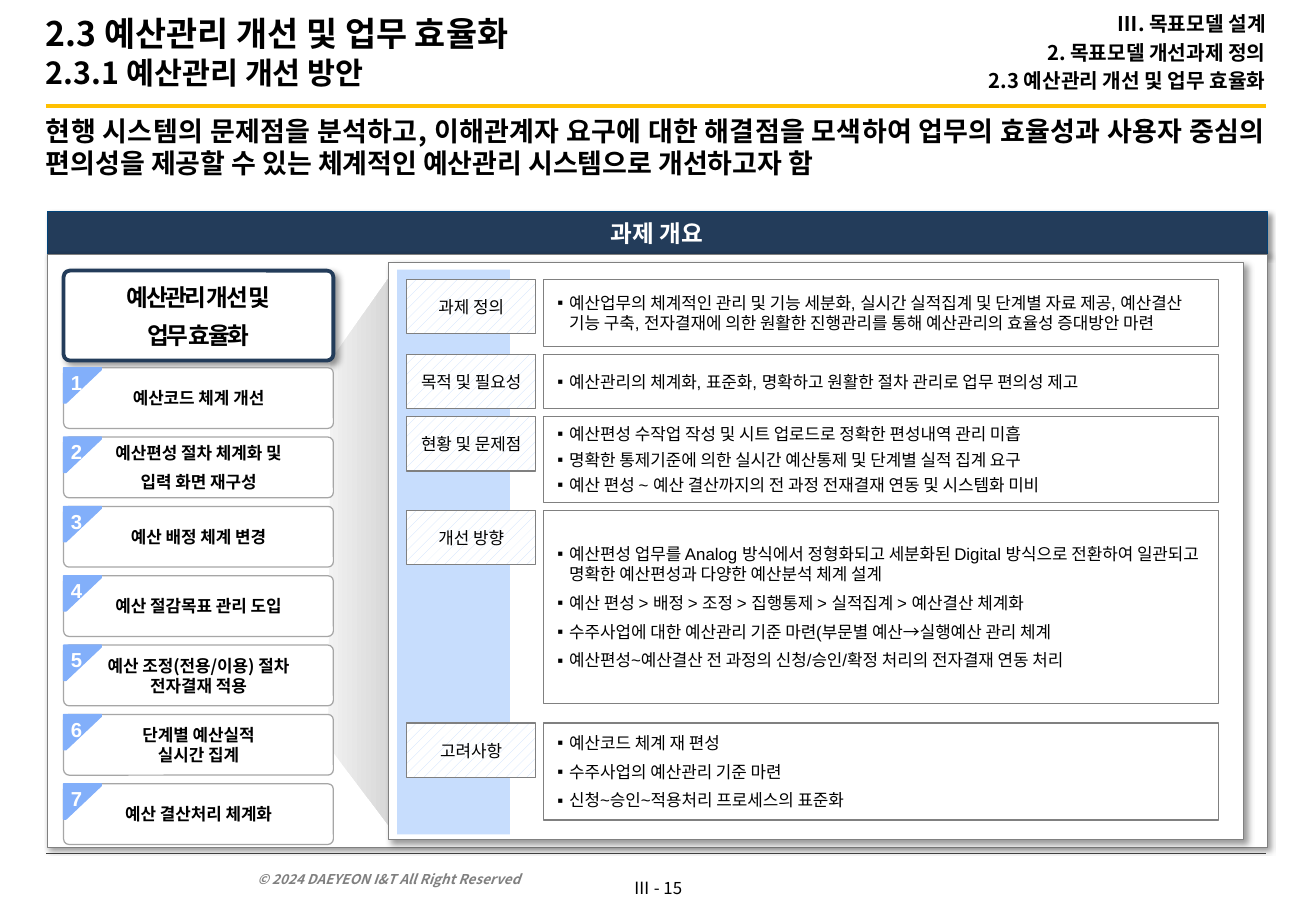
from lxml.etree import SubElement as Sub
from pptx import Presentation
from pptx.dml.color import RGBColor as Rgb
from pptx.enum.dml import MSO_PATTERN as Pat
from pptx.enum.shapes import MSO_CONNECTOR as Conn, MSO_SHAPE as Kind
from pptx.enum.text import MSO_ANCHOR as Anchor, MSO_AUTO_SIZE as Auto, PP_ALIGN as Align
from pptx.oxml.ns import qn
from pptx.util import Cm, Pt

HUES = {
    "white": "FFFFFF", "black": "000000", "navy": "233C5A", "edge": "00437A",
    "gold": "FFC000", "gray": "808080", "dark": "404040", "rim": "A6A6A6",
    "tag": "82AFFA", "pale": "C7DDFD", "fog": "F2F2F2", "mist": "D9D9D9",
}
NOTO = "Noto Sans CJK KR"
PAD = (0.28, 0.13, 0.28, 0.13)

TASKS = [
    ["예산코드 체계 개선"],
    ["예산편성 절차 체계화 및", "입력 화면 재구성"],
    ["예산 배정 체계 변경"],
    ["예산 절감목표 관리 도입"],
    ["예산 조정(전용/이용) 절차 전자결재 적용"],
    ["단계별 예산실적", "실시간 집계"],
    ["예산 결산처리 체계화"],
]
ROWS = [
    ("과제 정의", 1.41, 0.16, 0, [
        "예산업무의 체계적인 관리 및 기능 세분화, 실시간 실적집계 및 단계별 자료 제공, 예산결산 기능 구축, "
        "전자결재에 의한 원활한 진행관리를 통해 예산관리의 효율성 증대방안 마련"]),
    ("목적 및 필요성", 1.14, 0.16, 0, [
        "예산관리의 체계화, 표준화, 명확하고 원활한 절차 관리로 업무 편의성 제고"]),
    ("현황 및 문제점", 1.8, 0.16, 3, [
        "예산편성 수작업 작성 및 시트 업로드로 정확한 편성내역 관리 미흡",
        "명확한 통제기준에 의한 실시간 예산통제 및 단계별 실적 집계 요구",
        "예산 편성 ~ 예산 결산까지의 전 과정 전재결재 연동 및 시스템화 미비"]),
    ("개선 방향", 4.05, 0.4, 5, [
        "예산편성 업무를 Analog 방식에서 정형화되고 세분화된 Digital 방식으로 전환하여 "
        "일관되고 명확한 예산편성과 다양한 예산분석 체계 설계",
        "예산 편성 > 배정 > 조정 > 집행통제 > 실적집계 > 예산결산 체계화",
        "수주사업에 대한 예산관리 기준 마련(부문별 예산→실행예산 관리 체계",
        "예산편성~예산결산 전 과정의 신청/승인/확정 처리의 전자결재 연동 처리"]),
    ("고려사항", 2.03, 0, 5, [
        "예산코드 체계 재 편성", "수주사업의 예산관리 기준 마련",
        "신청~승인~적용처리 프로세스의 표준화"]),
]


def hue(name):
    """Return the named colour."""
    return Rgb.from_string(HUES[name])


def write(shape, lines, size, font="Arial", color="black", bold=False, align=Align.CENTER,
          anchor=Anchor.MIDDLE, pad=PAD, gap=0, mark=None):
    """Fill a shape with formatted paragraphs."""
    frame = shape.text_frame
    frame.text = "\n".join(lines)
    frame.word_wrap, frame.auto_size, frame.vertical_anchor = True, Auto.NONE, anchor
    frame.margin_left, frame.margin_top, frame.margin_right, frame.margin_bottom = map(Cm, pad)
    for i, para in enumerate(frame.paragraphs):
        props = para._p.get_or_add_pPr()
        hang = Cm(0.25) if mark else 0
        props.set("marL", str(hang))
        props.set("indent", str(-hang))
        if mark:
            Sub(props, qn("a:buFont"), typeface="Arial")
            Sub(props, qn("a:buChar"), char=mark)
        else:
            Sub(props, qn("a:buNone"))
        para.alignment = align
        para.space_before = Pt(gap if i else 0)
        for run in para.runs:
            text = run.font
            text.name, text.size, text.bold = font, Pt(size), bold
            text.color.rgb = hue(color)
            look = run._r.get_or_add_rPr()
            look.set("kern", "0")
            Sub(look, qn("a:ea"), typeface=NOTO)


def paint(shape, fill, line=None, width=0.75):
    """Set plain fill and outline."""
    shape.shadow.inherit = False
    shape.fill.solid()
    shape.fill.fore_color.rgb = hue(fill)
    if line:
        shape.line.color.rgb = hue(line)
        shape.line.width = Pt(width)
    else:
        shape.line.fill.background()


def block(slide, box, fill, line=None, width=0.75, kind=Kind.RECTANGLE):
    """Add a preset shape in a box."""
    shape = slide.shapes.add_shape(kind, *map(Cm, box))
    paint(shape, fill, line, width)
    return shape


def shade(shape, blur=4, dist=3):
    """Cast a soft shadow to the lower right."""
    effect = shape._element.spPr.find(qn("a:effectLst"))
    cast = Sub(effect, qn("a:outerShdw"), blurRad=str(Pt(blur)), dist=str(Pt(dist)),
               dir="2700000", algn="tl", rotWithShape="0")
    Sub(Sub(cast, qn("a:srgbClr"), val=HUES["black"]), qn("a:alpha"), val="40000")


def outline(slide, points):
    """Add a closed outline through points."""
    path = [(Cm(x), Cm(y)) for x, y in points]
    form = slide.shapes.build_freeform(*path[0])
    form.add_line_segments(path[1:], close=True)
    return form.convert_to_shape()


def rule(slide, x, y, w, color, width):
    """Draw a level line."""
    line = slide.shapes.add_connector(Conn.STRAIGHT, Cm(x), Cm(y), Cm(x + w), Cm(y))
    line.line.color.rgb, line.line.width = hue(color), Pt(width)
    Sub(line._element.spPr, qn("a:effectLst"))


def place(shape, box):
    """Move a placeholder to a box."""
    shape.left, shape.top, shape.width, shape.height = map(Cm, box)


def header(slide, box):
    """Place title, section trail, rule and lead text."""
    x, y, w, h = box
    title, lead, trail = slide.placeholders
    place(title, (x, y, 20.8, 2.16))
    write(title, ["2.3 예산관리 개선 및 업무 효율화", "2.3.1 예산관리 개선 방안"], 20, NOTO,
          bold=True, align=Align.LEFT, pad=(0, 0.13, 0.25, 0.13))
    title.text_frame.paragraphs[1].runs[0].font.size = Pt(18)
    place(trail, (x + w - 9, y, 9, 2.18))
    write(trail, ["Ⅲ. 목표모델 설계", "2. 목표모델 개선과제 정의", "2.3 예산관리 개선 및 업무 효율화"],
          12, NOTO, bold=True, align=Align.RIGHT, pad=(0, 0.13, 0, 0.13), gap=2.4)
    rule(slide, x, y + 2.21, w, "gold", 2.5)
    place(lead, (x, y + 2.39, w, h - 2.39))
    write(lead, ["현행 시스템의 문제점을 분석하고, 이해관계자 요구에 대한 해결점을 모색하여 업무의 효율성과 "
                 "사용자 중심의 편의성을 제공할 수 있는 체계적인 예산관리 시스템으로 개선하고자 함"],
          16, NOTO, bold=True, align=Align.JUSTIFY, anchor=Anchor.TOP, pad=(0, 0, 0, 0))


def panel(slide, box):
    """Draw the overview frame with its heading bar."""
    x, y, w, h = box
    bar = block(slide, (x, y, w, 0.9), "navy", "edge", 0.5)
    body = block(slide, (x, y + 0.9, w, h - 0.9), "white", "gray", 0.5)
    for part in (bar, body):
        shade(part, 3, 2)
    write(bar, ["과제 개요"], 14, color="white", bold=True)


def beam(slide, box):
    """Draw the fading wedge between list and detail."""
    x, y, w, h = box
    wedge = outline(slide, [(x + 0.05, y + 1.98), (x, y + 10.03), (x + w, y + h), (x + w, y)])
    paint(wedge, "fog")
    wedge.fill.gradient()
    wedge.fill.gradient_angle = 0
    for stop, name, spot in zip(wedge.fill.gradient_stops, ("fog", "mist"), (0, 0.82)):
        stop.color.rgb, stop.position = hue(name), spot


def tasks(slide, box):
    """Place the goal box and numbered tasks."""
    x, y, w, h = box
    goal = block(slide, (x, y, w, 1.88), "white", "navy", 2.25, Kind.ROUNDED_RECTANGLE)
    goal.adjustments[0] = 0.07
    shade(goal)
    write(goal, ["예산관리 개선 및", "업무 효율화"], 14, bold=True, pad=(0.2, 0.1, 0.2, 0.1), gap=5)
    for para in goal.text_frame.paragraphs:
        para.line_spacing = 1.05
        para.runs[0]._r.get_or_add_rPr().set("spc", "-150")
    step, tall = 1.45, 1.27
    first = y + h - tall - step * (len(TASKS) - 1)
    for i, lines in enumerate(TASKS):
        top = first + step * i
        card = block(slide, (x, top, w, tall), "white", "rim", kind=Kind.ROUNDED_RECTANGLE)
        card.adjustments[0] = 0.09
        write(card, lines, 10, NOTO, bold=True, gap=5 if i == 1 else 0)
        tag = outline(slide, [(x, top), (x + 0.79, top), (x + 0.79, top + 0.04),
                              (x + 0.05, top + 0.74), (x, top + 0.74)])
        paint(tag, "tag", "tag")
        write(tag, [str(i + 1)], 12, color="white", bold=True, align=Align.LEFT,
              anchor=Anchor.TOP, pad=(0.15, 0.05, 0.05, 0.13))


def detail(slide, box):
    """Place the detail sheet with labelled rows."""
    x, y, w, h = box
    shade(block(slide, box, "white", "gray"))
    block(slide, (x + 0.18, y + 0.15, 2.36, h - 0.26), "pale")
    top = y + 0.35
    for name, tall, gap, lead, lines in ROWS:
        label = block(slide, (x + 0.38, top, 2.7, 1.14), "white", "gray")
        label.fill.patterned()
        label.fill.pattern = Pat.PERCENT_20
        label.fill.fore_color.rgb, label.fill.back_color.rgb = hue("pale"), hue("white")
        write(label, [name], 10)
        note = block(slide, (x + 3.25, top, 14.1, tall), "white", "gray")
        write(note, lines, 10, align=Align.LEFT, gap=lead, mark="▪")
        top += tall + gap


def footer(slide, box):
    """Place the closing rule, rights line and page number."""
    x, y, w, h = box
    rule(slide, x, y, w, "dark", 0.5)
    rights = slide.shapes.add_textbox(Cm(x + 4.16), Cm(y + 0.15), Cm(7.67), Cm(0.69))
    write(rights, ["© 2024 DAEYEON I&T All Right Reserved"], 8, NOTO, "gray", True,
          Align.LEFT, Anchor.BOTTOM, (0.25, 0.13, 0.25, 0.13))
    rights.text_frame.paragraphs[0].runs[0].font.italic = True
    page = slide.shapes.add_textbox(Cm(x + 12.03), Cm(y + 0.38), Cm(1.5), Cm(h - 0.38))
    write(page, ["Ⅲ - 15"], 10, NOTO, anchor=Anchor.TOP, pad=(0.15, 0.13, 0.15, 0.13))
    page.text_frame.word_wrap = False


def main():
    """Build and save the slide."""
    deck = Presentation()
    deck.slide_width, deck.slide_height = Cm(27.51), Cm(19.05)
    slide = deck.slides.add_slide(deck.slide_layouts[3])
    header(slide, (0.96, 0, 25.5, 4.11))
    panel(slide, (0.99, 4.42, 25.5, 13.31))
    beam(slide, (6.86, 5.56, 1.45, 11.94))
    tasks(slide, (1.33, 5.66, 5.64, 12))
    detail(slide, (8.12, 5.49, 17.88, 12.07))
    footer(slide, (0.97, 17.85, 25.5, 1.07))
    deck.save("out.pptx")


if __name__ == "__main__":
    main()
